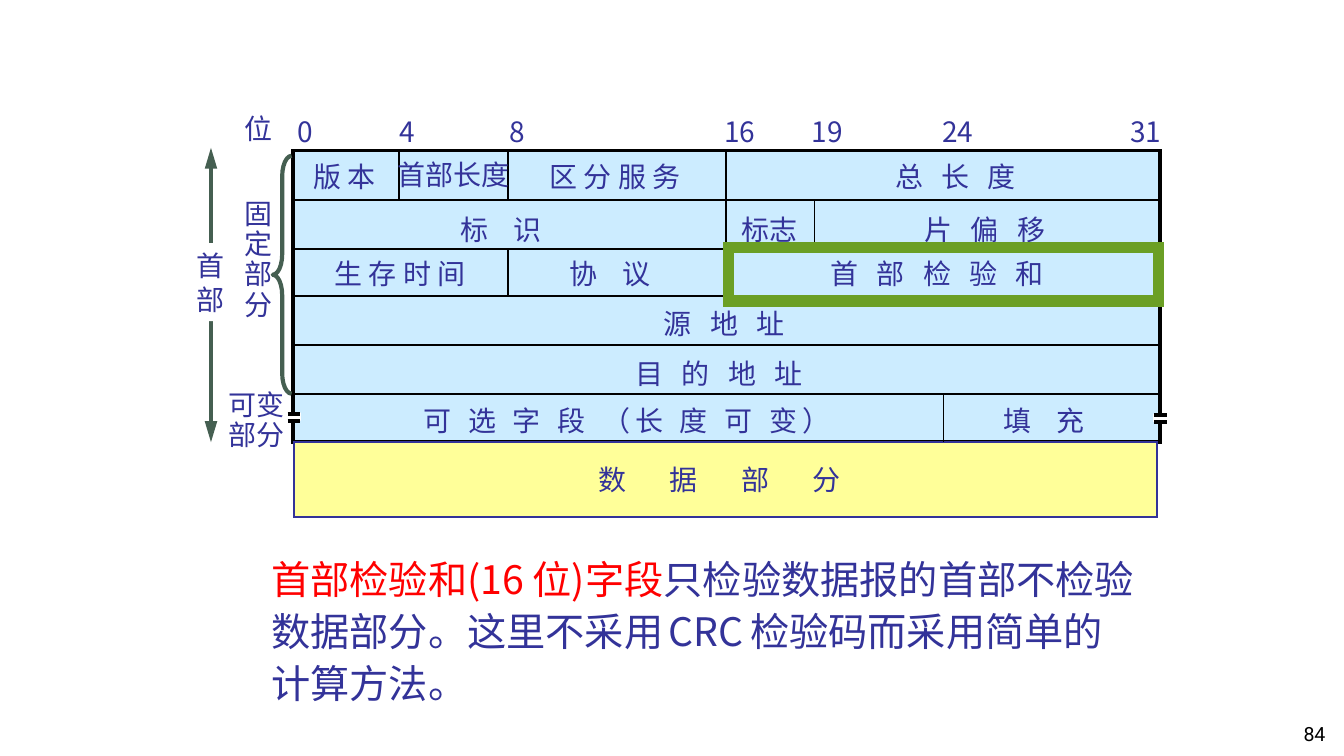
from lxml import etree
from pptx import Presentation
from pptx.dml.color import RGBColor
from pptx.enum.shapes import MSO_CONNECTOR, MSO_SHAPE as SHAPE
from pptx.enum.text import MSO_AUTO_SIZE, PP_ALIGN
from pptx.oxml.ns import qn
from pptx.util import Inches, Pt

COLORS = {"ink": "333399", "black": "000000", "white": "FFFFFF", "header": "CCECFF",
          "data": "FFFF99", "slate": "455F51", "green": "6B9F25", "red": "FF0000"}
FONT = "Noto Sans CJK SC"

deck = Presentation()
deck.slide_width = Inches(10)
deck.slide_height = Inches(10 * 9 / 16)
page = deck.slides.add_slide(deck.slide_layouts[6])


def add_box(kind, left, top, width, height, fill=None, line=None, weight=1):
    """Add a preset shape, or a plain text box when kind is None."""
    place = [Inches(length) for length in (left, top, width, height)]
    if kind is None:
        return page.shapes.add_textbox(*place)
    box = page.shapes.add_shape(kind, *place)
    box.shadow.inherit = False
    if fill:
        box.fill.solid()
        box.fill.fore_color.rgb = RGBColor.from_string(COLORS[fill])
    else:
        box.fill.background()
    if line:
        box.line.color.rgb = RGBColor.from_string(COLORS[line])
        box.line.width = Pt(weight)
        if kind == SHAPE.RECTANGLE:
            etree.SubElement(box.line._get_or_add_ln(), qn("a:miter"), lim="800000")
    else:
        box.line.fill.background()
    return box


def add_line(x1, y1, x2, y2, color="black", weight=1):
    line = page.shapes.add_connector(MSO_CONNECTOR.STRAIGHT, Inches(x1), Inches(y1),
                                     Inches(x2), Inches(y2))
    line.line.color.rgb = RGBColor.from_string(COLORS[color])
    line.line.width = Pt(weight)
    etree.SubElement(line._element.spPr, qn("a:effectLst"))
    return line


# Double-headed arrow spanning the header
arrow = add_line(1.57, 1.1, 1.57, 3.29, "slate", 2.25)
for end in ("a:headEnd", "a:tailEnd"):
    etree.SubElement(arrow.line._get_or_add_ln(), qn(end), type="triangle", len="lg")
span_label = add_box(SHAPE.RECTANGLE, 1.39, 1.81, 0.36, 0.58, "white")

# Header and data blocks
LEFT, RIGHT = 2.18, 8.63
header = add_box(SHAPE.RECTANGLE, LEFT, 1.12, RIGHT - LEFT, 2.17, "header", "black", 2)
add_box(SHAPE.RECTANGLE, 2.19, 3.29, 6.42, 0.56, "data", "ink", 1)

# Row rules; the third one meets the middle of both sides
row_edges = [1.13 + 0.36 * row for row in range(7)]
for row in range(1, 6):
    rule = add_line(LEFT, row_edges[row], RIGHT, row_edges[row])
    if row == 3:
        rule.begin_connect(header, 1)
        rule.end_connect(header, 3)

# Field dividers: bit, first row edge, last row edge
bit_x = {4: 2.97, 8: 3.78, 16: 5.4, 19: 6.06, 24: 7.02}
for bit, first, last in [(4, 0, 1), (8, 0, 1), (8, 2, 3), (16, 0, 3), (19, 1, 2), (24, 5, 6)]:
    add_line(bit_x[bit], row_edges[first], bit_x[bit], row_edges[last])

# Break marks on both sides of the variable row
for left, top in [(2.13, 3.07), (8.58, 3.08)]:
    add_box(SHAPE.RECTANGLE, left, top, 0.11, 0.06, "white")
    for offset in (0.01, 0.06):
        add_line(left + 0.01, top + offset, left + 0.1, top + offset, weight=2)

# Labels: text, left, top, width, height, letter spacing in points
labels = [(bit, left, 0.81, 0.27 if len(bit) == 1 else 0.4, 0.33, 0) for bit, left in
          [("0", 2.14), ("4", 2.9), ("8", 3.72), ("16", 5.32),
           ("19", 5.97), ("24", 6.94), ("31", 8.34)]]
labels += [
    ("位", 1.75, 0.79, 0.36, 0.33, 0),
    ("版 本", 2.26, 1.15, 0.63, 0.33, 0),
    ("首部长度", 2.89, 1.13, 0.99, 0.33, 0),
    ("区 分 服 务", 4.02, 1.15, 1.18, 0.33, 0),
    ("总 长 度", 6.59, 1.15, 1.16, 0.33, 3.25),
    ("标 识", 3.36, 1.54, 0.82, 0.33, 5),
    ("标志", 5.45, 1.54, 0.57, 0.33, 0),
    ("片 偏 移", 6.81, 1.54, 1.16, 0.33, 3.25),
    ("生 存 时 间", 2.42, 1.87, 1.18, 0.33, 0),
    ("协 议", 4.17, 1.87, 0.82, 0.33, 5),
    ("首 部 检 验 和", 6.11, 1.87, 1.96, 0.33, 3.25),
    ("源 地 址", 4.87, 2.24, 1.16, 0.33, 3.25),
    ("目 的 地 址", 4.66, 2.61, 1.56, 0.33, 3.25),
    ("可 选 字 段 （长 度 可 变）", 3.08, 2.96, 3.52, 0.33, 2.8),
    ("填 充", 7.4, 2.96, 0.82, 0.33, 5),
    ("数 据 部 分", 4.38, 3.4, 2.39, 0.33, 10),
    ("固\n定\n部\n分", 1.75, 1.45, 0.36, 0.98, 0),
    ("可变\n部分", 1.63, 2.87, 0.57, 0.53, 0),
]
filled = [(span_label, "首\n部", 0, None)]
filled += [(add_box(None, *place), text, spacing, 0.9 if "\n" in text else None)
           for text, *place, spacing in labels]
for box, text, spacing, line_spacing in filled:
    frame = box.text_frame
    frame.margin_left = frame.margin_right = Inches(0.07)
    frame.margin_top = frame.margin_bottom = Inches(0.04)
    frame.word_wrap = False
    frame.auto_size = MSO_AUTO_SIZE.SHAPE_TO_FIT_TEXT
    frame.text = text
    for para in frame.paragraphs:
        para.alignment = PP_ALIGN.LEFT
        if line_spacing:
            para.line_spacing = line_spacing
        para.font.size = Pt(15)
        para.font.color.rgb = RGBColor.from_string(COLORS["ink"])
        para.font.name = FONT
        defaults = para._p.pPr.find(qn("a:defRPr"))
        etree.SubElement(defaults, qn("a:ea"), typeface=FONT)
        if spacing:
            defaults.set("spc", str(round(spacing * 100)))

# Explanation below the diagram
note = add_box(None, 1.92, 4.05, 6.63, 1.24).text_frame
note.word_wrap = True
note.auto_size = MSO_AUTO_SIZE.SHAPE_TO_FIT_TEXT
para = note.paragraphs[0]
para.line_spacing = 1.1
for text, size, color in [("首部检验和(16 位)字段", 21, "red"),
                          ("只检验数据报的首部不检验数据部分。这里不采用", 21, "ink"),
                          (" ", 13.5, "ink"), ("CRC", 21, "ink"), (" ", 15, "ink"),
                          ("检验码而采用简单的计算方法。", 21, "ink")]:
    span = para.add_run()
    span.text = text
    span.font.size = Pt(size)
    span.font.color.rgb = RGBColor.from_string(COLORS[color])
    span.font.name = FONT
    etree.SubElement(span._r.rPr, qn("a:ea"), typeface=FONT)

# Checksum highlight and brace for the fixed part
add_box(SHAPE.RECTANGLE, 5.42, 1.84, 3.2, 0.4, line="green", weight=6)
brace = add_box(SHAPE.LEFT_BRACE, 2.03, 1.16, 0.14, 1.77, line="slate", weight=2.25)
brace.adjustments[0] = 1.08

# Page number
number = add_box(None, 9.38, 5.32, 0.58, 0.3).text_frame
number.word_wrap = True
number.text = "84"
para = number.paragraphs[0]
para.alignment = PP_ALIGN.RIGHT
para.font.size = Pt(10.5)
para.font.color.rgb = RGBColor.from_string(COLORS["black"])
para.font.name = "Roboto"

deck.save("out.pptx")
